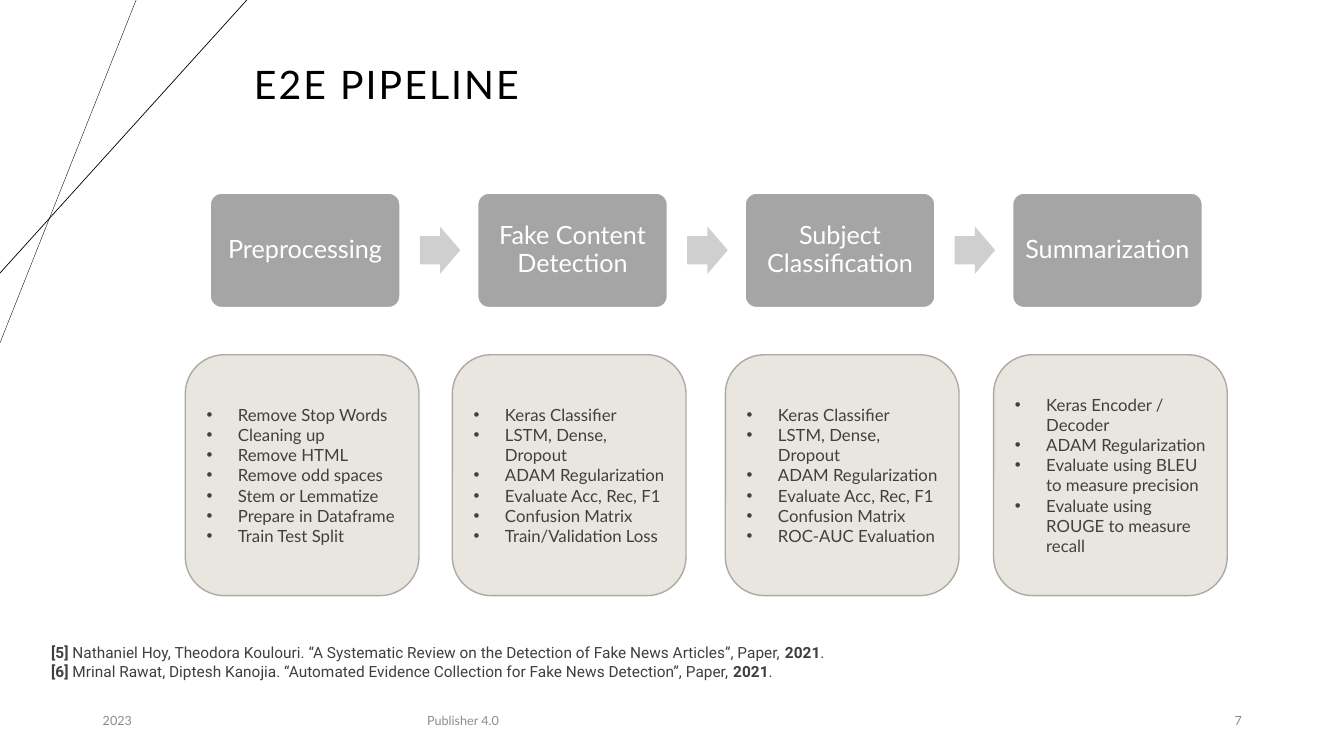
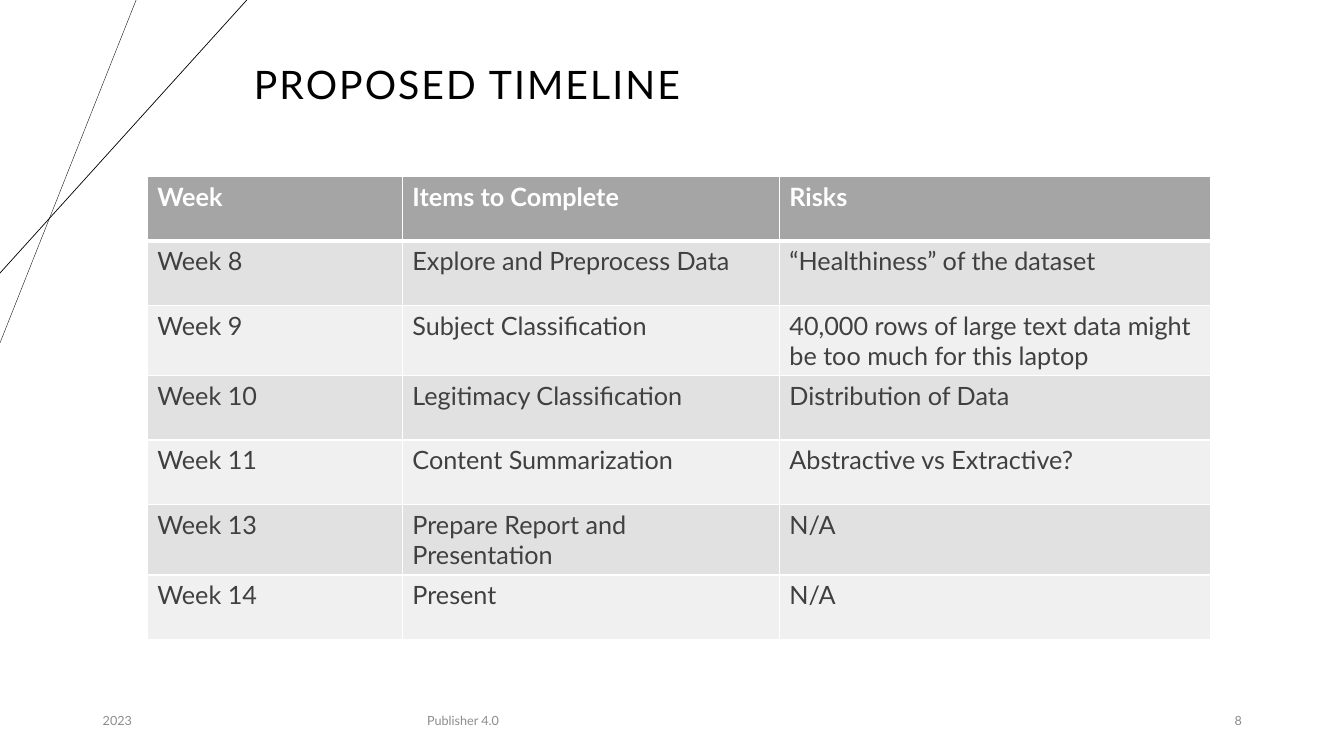
"""Build two slides: a processing pipeline and a project timeline."""
from pptx import Presentation
from pptx.dml.color import RGBColor
from pptx.enum import shapes, text
from pptx.oxml import xmlchemy
from pptx.util import Cm, Pt

BLACK = RGBColor(0x00, 0x00, 0x00)
WHITE = RGBColor(0xFF, 0xFF, 0xFF)
INK = RGBColor(0x40, 0x40, 0x40)
REFERENCE_INK = RGBColor(0x3C, 0x40, 0x43)
FOOTER_GRAY = RGBColor(0x8C, 0x8C, 0x8C)
STEP_GRAY = RGBColor(0xA5, 0xA5, 0xA5)
ARROW_GRAY = RGBColor(0xCF, 0xCF, 0xCF)
CARD_FILL = RGBColor(0xE9, 0xE6, 0xDF)
CARD_LINE = RGBColor(0xAC, 0xAA, 0xA5)
ROW_FILLS = (RGBColor(0xE1, 0xE1, 0xE1), RGBColor(0xF0, 0xF0, 0xF0))

LEFT, CENTER, RIGHT, JUSTIFY = (
    text.PP_ALIGN.LEFT, text.PP_ALIGN.CENTER, text.PP_ALIGN.RIGHT, text.PP_ALIGN.JUSTIFY)
MIDDLE, TOP = text.MSO_ANCHOR.MIDDLE, text.MSO_ANCHOR.TOP

CORNER_LINES = [(3.43, 8.64, 0.25), (6.22, 6.88, 0.5)]
FIRST_PAGE = 7
DATE, PUBLISHER = "2023", "Publisher 4.0"
PIPELINE_TITLE, TIMELINE_TITLE = "E2E PIPELINE", "PROPOSED TIMELINE"

STEPS = [
    ("Preprocessing", 4.67,
     ["Remove Stop Words", "Cleaning up", "Remove HTML", "Remove odd spaces",
      "Stem or Lemmatize", "Prepare in Dataframe", "Train Test Split"]),
    ("Fake Content Detection", 11.4,
     ["Keras Classifier", "LSTM, Dense, Dropout", "ADAM Regularization",
      "Evaluate Acc, Rec, F1", "Confusion Matrix", "Train/Validation Loss"]),
    ("Subject Classification", 18.28,
     ["Keras Classifier", "LSTM, Dense, Dropout", "ADAM Regularization",
      "Evaluate Acc, Rec, F1", "Confusion Matrix", "ROC-AUC Evaluation"]),
    ("Summarization", 25.04,
     ["Keras Encoder / Decoder", "ADAM Regularization",
      "Evaluate using BLEU to measure precision",
      "Evaluate using ROUGE to measure recall"]),
]
STEP_LEFT, STEP_PITCH, ARROW_OFFSET = 5.29, 6.74, 5.29

REFERENCES = [
    ("[5] ", "Nathaniel Hoy, Theodora Koulouri. “A Systematic Review on the Detection "
     "of Fake News Articles”, Paper, ", "2021", "."),
    ("[6] ", "Mrinal Rawat, Diptesh Kanojia. “Automated Evidence Collection for Fake "
     "News Detection”, Paper, ", "2021", "."),
]

TIMELINE = [
    ("Week", "Items to Complete", "Risks"),
    ("Week 8", "Explore and Preprocess Data", "“Healthiness” of the dataset"),
    ("Week 9", "Subject Classification",
     "40,000 rows of large text data might be too much for this laptop"),
    ("Week 10", "Legitimacy Classification", "Distribution of Data"),
    ("Week 11", "Content Summarization", "Abstractive vs Extractive?"),
    ("Week 13", "Prepare Report and Presentation", "N/A"),
    ("Week 14", "Present", "N/A"),
]
COLUMN_WIDTHS, ROW_HEIGHT = (6.43, 9.5, 10.87), 1.62


def add_element(parent, tag, **attributes):
    """Append a child element with the given attributes and return it."""
    child = xmlchemy.OxmlElement(tag)
    for name, value in attributes.items():
        child.set(name, str(value))
    parent.append(child)
    return child


def add_span(para, words, size, color, bold=False, font="Lato"):
    """Append one styled run."""
    span = para.add_run()
    span.text = words
    span.font.size, span.font.name, span.font.bold = Pt(size), font, bold
    span.font.color.rgb = color


def paragraphs(frame, count):
    """Return the given number of paragraphs of an empty text frame."""
    return [frame.paragraphs[0]] + [frame.add_paragraph() for _ in range(count - 1)]


def add_box(page, place, anchor=MIDDLE):
    """Add a wrapping text box and return its text frame."""
    frame = page.shapes.add_textbox(*map(Cm, place)).text_frame
    frame.word_wrap, frame.vertical_anchor = True, anchor
    return frame


def add_label(page, place, words, size, color, align=LEFT):
    """Add a text box holding one run and return its paragraph."""
    para = add_box(page, place).paragraphs[0]
    para.alignment = align
    add_span(para, words, size, color)
    return para


def add_panel(page, kind, place, fill, line=None, width=1):
    """Add a filled preset shape."""
    panel = page.shapes.add_shape(kind, *map(Cm, place))
    panel.shadow.inherit = False
    panel.fill.solid()
    panel.fill.fore_color.rgb = fill
    if line is None:
        panel.line.fill.background()
    else:
        panel.line.color.rgb, panel.line.width = line, Pt(width)
    panel.text_frame.word_wrap = True
    panel.text_frame.vertical_anchor = MIDDLE
    return panel


def add_page(deck, title, number):
    """Add a slide with the shared corner lines, title and footer."""
    page = deck.slides.add_slide(deck.slide_layouts[6])
    for start, end, width in CORNER_LINES:
        line = page.shapes.add_connector(
            shapes.MSO_CONNECTOR.STRAIGHT, Cm(start), 0, 0, Cm(end))
        line.line.color.rgb, line.line.width = BLACK, Pt(width)
        add_element(line._element.spPr, "a:effectLst")
    heading = add_label(page, (6.15, 1.28, 14.2, 1.8), title, 28, BLACK)
    heading.line_spacing = 0.9
    heading.runs[0].font._element.set("spc", "150")
    for left, width, words, align in [
            (2.34, 3.38, DATE, LEFT), (6.83, 9.68, PUBLISHER, CENTER),
            (23.93, 7.62, str(number), RIGHT)]:
        add_label(page, (left, 17.65, width, 1.02), words, 9, FOOTER_GRAY, align)
    return page


def add_step(page, index, name):
    """Add one pipeline step and the arrow that leads on from it."""
    left = STEP_LEFT + index * STEP_PITCH
    step = add_panel(page, shapes.MSO_SHAPE.ROUNDED_RECTANGLE,
                     (left, 4.86, 4.8, 2.9), STEP_GRAY, WHITE, 1.5)
    step.adjustments[0] = 0.1
    frame = step.text_frame
    frame.margin_left = frame.margin_right = Cm(0.17)
    para = frame.paragraphs[0]
    para.alignment, para.line_spacing = CENTER, 0.9
    add_span(para, name, 18, WHITE)
    if index < len(STEPS) - 1:
        arrow = add_panel(page, shapes.MSO_SHAPE.RIGHT_ARROW,
                          (left + ARROW_OFFSET, 5.71, 1.02, 1.19), ARROW_GRAY)
        arrow.adjustments[0] = 0.6


def add_card(page, left, items):
    """Add a rounded card with a bulleted list."""
    card = add_panel(page, shapes.MSO_SHAPE.ROUNDED_RECTANGLE,
                     (left, 8.94, 5.89, 6.07), CARD_FILL, CARD_LINE)
    for para, item in zip(paragraphs(card.text_frame, len(items)), items):
        para.alignment = LEFT
        properties = para._p.get_or_add_pPr()
        properties.set("marL", str(Cm(0.79)))
        properties.set("indent", str(-Cm(0.79)))
        add_element(properties, "a:buFont", typeface="Arial")
        add_element(properties, "a:buChar", char="•")
        add_span(para, item, 12, INK)


def add_references(page):
    """Add the source list with bold numbers and years."""
    frame = add_box(page, (1.04, 16.09, 31.32, 1.19), TOP)
    for para, parts in zip(paragraphs(frame, len(REFERENCES)), REFERENCES):
        para.alignment = JUSTIFY
        for index, words in enumerate(parts):
            add_span(para, words, 11, REFERENCE_INK, index % 2 == 0, "Roboto")


def set_borders(cell, top, bottom):
    """Draw white borders around a cell, widths in points."""
    properties = cell._tc.get_or_add_tcPr()
    for index, (side, width) in enumerate(
            [("L", 1), ("R", 1), ("T", top), ("B", bottom)]):
        border = xmlchemy.OxmlElement(f"a:ln{side}")
        border.set("w", str(Pt(width)))
        fill = add_element(border, "a:solidFill")
        add_element(fill, "a:srgbClr", val=WHITE)
        properties.insert(index, border)


def add_timeline(page):
    """Add the timeline table."""
    table = page.shapes.add_table(
        len(TIMELINE), len(COLUMN_WIDTHS), Cm(3.71), Cm(4.45),
        Cm(sum(COLUMN_WIDTHS)), Cm(ROW_HEIGHT * len(TIMELINE))).table
    for column, width in zip(table.columns, COLUMN_WIDTHS):
        column.width = Cm(width)
    for index, (row, entries) in enumerate(zip(table.rows, TIMELINE)):
        row.height = Cm(ROW_HEIGHT)
        header = index == 0
        for cell, words in zip(row.cells, entries):
            cell.fill.solid()
            cell.fill.fore_color.rgb = STEP_GRAY if header else ROW_FILLS[(index - 1) % 2]
            set_borders(cell, 3 if index == 1 else 1, 3 if header else 1)
            add_span(cell.text_frame.paragraphs[0], words, 18,
                     WHITE if header else INK, header)


def main():
    """Build and save the deck."""
    deck = Presentation()
    deck.slide_width, deck.slide_height = Cm(33.87), Cm(19.05)
    pipeline = add_page(deck, PIPELINE_TITLE, FIRST_PAGE)
    for index, (name, card_left, items) in enumerate(STEPS):
        add_step(pipeline, index, name)
        add_card(pipeline, card_left, items)
    add_references(pipeline)
    add_timeline(add_page(deck, TIMELINE_TITLE, FIRST_PAGE + 1))
    deck.save("out.pptx")


if __name__ == "__main__":
    main()
